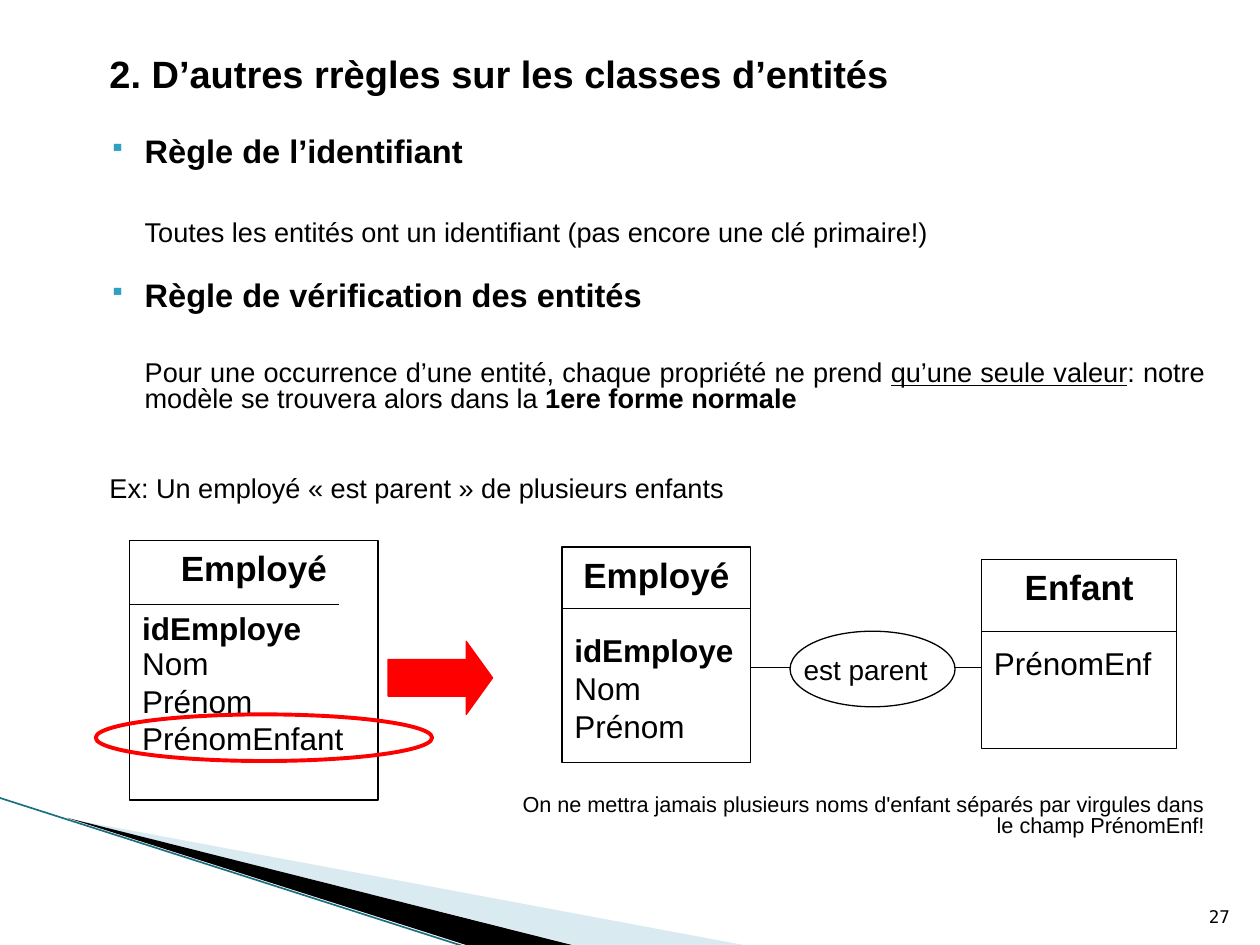
from lxml import etree
from pptx import Presentation
from pptx.dml.color import RGBColor
from pptx.enum.shapes import MSO_CONNECTOR, MSO_SHAPE
from pptx.enum.text import MSO_ANCHOR, PP_ALIGN
from pptx.oxml.ns import qn
from pptx.util import Inches, Pt

LEFT, CENTER, RIGHT, JUSTIFY = PP_ALIGN.LEFT, PP_ALIGN.CENTER, PP_ALIGN.RIGHT, PP_ALIGN.JUSTIFY
TOP, BOTTOM = MSO_ANCHOR.TOP, MSO_ANCHOR.BOTTOM
RECTANGLE, OVAL, ARROW = MSO_SHAPE.RECTANGLE, MSO_SHAPE.OVAL, MSO_SHAPE.RIGHT_ARROW
STRAIGHT = MSO_CONNECTOR.STRAIGHT

BLACK = RGBColor(0x00, 0x00, 0x00)
WHITE = RGBColor(0xFF, 0xFF, 0xFF)
RED = RGBColor(0xFF, 0x00, 0x00)
PALE_BLUE = RGBColor(0xD9, 0xEA, 0xF1)
TEAL = RGBColor(0x1C, 0x6F, 0x83)
BULLET_BLUE = RGBColor(0x2D, 0xA2, 0xBF)

presentation = Presentation()
presentation.slide_width, presentation.slide_height = Inches(10), Inches(7.5)
slide = presentation.slides.add_slide(presentation.slide_layouts[6])
shapes = slide.shapes

# Grid of 100 columns by 75 rows
COLUMN = presentation.slide_width / 100
ROW = presentation.slide_height / 75


def place(*numbers):
    """Turn alternating columns and rows into slide lengths."""
    return [round(number * (ROW if index % 2 else COLUMN))
            for index, number in enumerate(numbers)]


def add_text(paragraph, text, size=18, bold=False, underline=False, font="Arial",
             align=LEFT, spacing=1.0, before=0):
    paragraph.alignment = align
    paragraph.line_spacing = spacing
    paragraph.space_before = Pt(before)
    run = paragraph.add_run()
    run.text = text
    run.font.name, run.font.size = font, Pt(size)
    run.font.bold, run.font.underline = bold, underline
    run.font.color.rgb = BLACK


# Corner decoration
for color, points in (
    (PALE_BLUE, [(5.5, 65), (59, 75), (45.6, 75)]),
    (BLACK, [(5.3, 64.9), (45.4, 75), (37, 75)]),
):
    corners = [place(*point) for point in points]
    builder = shapes.build_freeform(*corners[0])
    builder.add_line_segments(corners[1:])
    wedge = builder.convert_to_shape()
    wedge.shadow.inherit = False
    wedge.fill.solid()
    wedge.fill.fore_color.rgb = color
    wedge.line.fill.background()

# Rules: runs are (text, bold, underline)
RULES = [
    (21.7, 0, 1.2, False, [("2. D’autres rrègles sur les classes d’entités", True, False)]),
    (18.6, 24.6, 4, True, [("Règle de l’identifiant", True, False)]),
    (15.5, 29.8, 4, False,
     [("Toutes les entités ont un identifiant (pas encore une clé primaire!)", False, False)]),
    (18.6, 19.8, 4, True, [("Règle de vérification des entités", True, False)]),
    (15.5, 27.2, 4, False, [
        ("Pour une occurrence d’une entité, chaque propriété ne prend ", False, False),
        ("qu’une seule valeur", False, True),
        (": notre modèle se trouvera alors dans la ", False, False),
        ("1ere forme normale", True, False)]),
    (15.5, 36.6, 1.2, False,
     [("Ex: Un employé «\u00a0est parent\u00a0» de plusieurs enfants".replace("\u00a0", " "),
       False, False)]),
]
body = shapes.add_textbox(*place(6.5, 4.2, 90.1, 37)).text_frame
body.word_wrap = True
for index, (size, before, margin, bulleted, runs) in enumerate(RULES):
    paragraph = body.add_paragraph() if index else body.paragraphs[0]
    for text, bold, underline in runs:
        add_text(paragraph, text, size=size, bold=bold, underline=underline,
                 align=JUSTIFY, spacing=0.8, before=before)
    properties = paragraph._p.get_or_add_pPr()
    properties.set("marL", str(round(margin * COLUMN)))
    if bulleted:
        properties.set("indent", str(round(-2.8 * COLUMN)))
        bullet_color = etree.SubElement(properties, qn("a:buClr"))
        etree.SubElement(bullet_color, qn("a:srgbClr"), val=str(BULLET_BLUE))
        etree.SubElement(properties, qn("a:buSzPct"), val="68000")
        etree.SubElement(properties, qn("a:buChar"), char="▪")

# Entities: box, divider row and width, name, attributes, spacing of the first attribute
ENTITIES = [
    ((10.3, 42.9, 19.7, 20.6), 48, 16.6, "Employé",
     ["idEmploye", "Nom", "Prénom", "PrénomEnfant"], 0.5),
    ((44.6, 43.4, 15, 17.1), 48.3, 15, "Employé", ["idEmploye", "Nom", "Prénom"], 1.0),
    ((77.9, 44.4, 15.5, 15), 50.1, 15.5, "Enfant", ["PrénomEnf"], 1.0),
]
lines = [(shapes, (-0.1, 63.3, 37.1, 75.2), TEAL, 0.95)]
for box, divider_row, divider_width, name, attributes, first_spacing in ENTITIES:
    group = shapes.add_group_shape()
    entity = group.shapes.add_shape(RECTANGLE, *place(*box))
    entity.shadow.inherit = False
    entity.fill.solid()
    entity.fill.fore_color.rgb = WHITE
    entity.line.color.rgb = BLACK
    entity.line.width = Pt(0.75)
    frame = entity.text_frame
    frame.word_wrap = True
    frame.vertical_anchor = TOP
    add_text(frame.paragraphs[0], name, size=20, bold=True, align=CENTER)
    for index, attribute in enumerate(attributes):
        add_text(frame.add_paragraph(), attribute, bold=attribute.startswith("id"),
                 spacing=1.0 if index else first_spacing, before=0 if index else 20.7)
    divider = (box[0], divider_row, box[0] + divider_width, divider_row)
    lines.append((group.shapes, divider, BLACK, 0.75))
lines.append((shapes, (59.6, 53, 77.9, 53), BLACK, 0.75))

for container, ends, color, width in lines:
    connector = container.add_connector(STRAIGHT, *place(*ends))
    connector.line.color.rgb = color
    connector.line.width = Pt(width)
    etree.SubElement(connector._element.spPr, qn("a:effectLst"))

# Arrow, relationship and highlight
for kind, box, fill, color, width in (
    (ARROW, (30.8, 50.9, 8.3, 5.8), RED, RED, 0.75),
    (OVAL, (62.7, 50.1, 13.1, 6), WHITE, BLACK, 0.75),
    (OVAL, (7.6, 56.7, 26.7, 3.7), None, RED, 2.25),
):
    shape = shapes.add_shape(kind, *place(*box))
    shape.shadow.inherit = False
    if fill is None:
        shape.fill.background()
    else:
        shape.fill.solid()
        shape.fill.fore_color.rgb = fill
    shape.line.color.rgb = color
    shape.line.width = Pt(width)
    if kind == ARROW:
        shape.adjustments[1] = 0.36

# Single labels
for box, text, wrap, anchor, text_format in (
    ((40, 62.7, 56.6, 5),
     "On ne mettra jamais plusieurs noms d'enfant séparés par virgules dans le champ PrénomEnf!",
     True, TOP, {"size": 12.4, "align": RIGHT, "spacing": 0.8}),
    ((62.8, 51.3, 12, 3.7), "est parent", False, TOP, {"size": 16}),
    ((94.6, 70.1, 4, 4), "27", True, BOTTOM,
     {"size": 10, "font": "DejaVu Sans Mono", "align": RIGHT}),
):
    frame = shapes.add_textbox(*place(*box)).text_frame
    frame.word_wrap = wrap
    frame.vertical_anchor = anchor
    add_text(frame.paragraphs[0], text, **text_format)

presentation.save("out.pptx")
